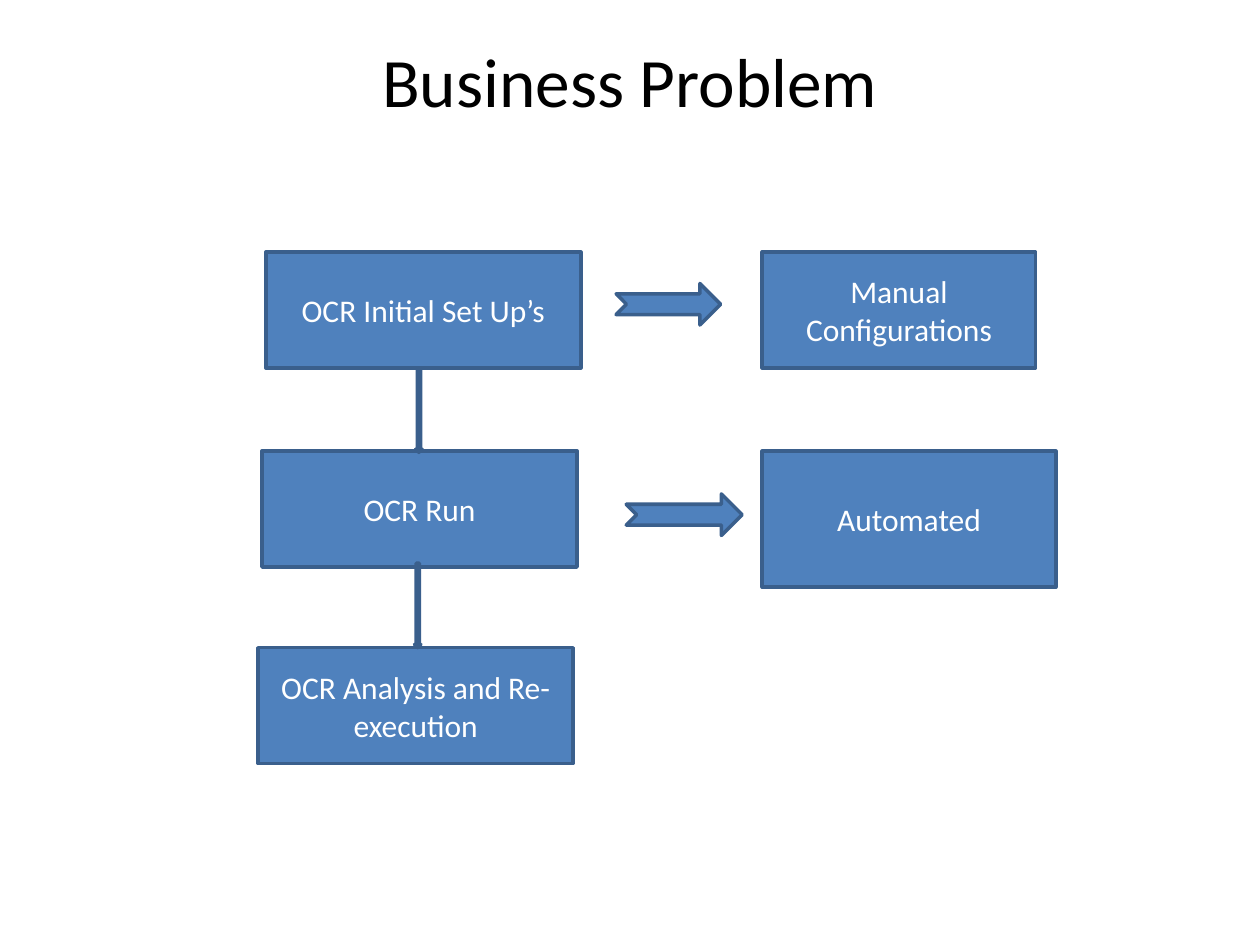
from pptx import Presentation
from pptx.dml.color import RGBColor
from pptx.enum.shapes import MSO_SHAPE
from pptx.enum.text import MSO_ANCHOR, PP_ALIGN
from pptx.util import Inches, Pt

RECTANGLE = MSO_SHAPE.RECTANGLE
DOWN_ARROW = MSO_SHAPE.DOWN_ARROW
NOTCHED_ARROW = MSO_SHAPE.NOTCHED_RIGHT_ARROW
TOP, MIDDLE = MSO_ANCHOR.TOP, MSO_ANCHOR.MIDDLE
CENTER = PP_ALIGN.CENTER

COLORS = {"fill": "4F81BD", "line": "3A5F8C", "title": "000000", "label": "FFFFFF"}
TITLE_ONLY = 5


class FlowSlide:
    """Holds the style and the current slide."""

    font_name = "Calibri"
    title_size = Pt(39.6)
    label_size = Pt(18)
    line_width = Pt(2)

    def __init__(self, deck):
        self.slide = deck.slides.add_slide(deck.slide_layouts[TITLE_ONLY])

    def color(self, name):
        return RGBColor.from_string(COLORS[name])

    def set_text(self, frame, text, size, color, anchor):
        frame.word_wrap = True
        frame.vertical_anchor = anchor
        para = frame.paragraphs[0]
        para.text = text
        para.alignment = CENTER
        para.font.name = self.font_name
        para.font.size = size
        para.font.color.rgb = self.color(color)

    def title(self, text, left, top, width, height):
        title = self.slide.shapes.title
        title.left, title.top = Inches(left), Inches(top)
        title.width, title.height = Inches(width), Inches(height)
        title.text_frame.margin_top = 0
        self.set_text(title.text_frame, text, self.title_size, "title", TOP)

    def shape(self, kind, left, top, width, height):
        shape = self.slide.shapes.add_shape(
            kind, Inches(left), Inches(top), Inches(width), Inches(height))
        shape.shadow.inherit = False
        shape.fill.solid()
        shape.fill.fore_color.rgb = self.color("fill")
        shape.line.color.rgb = self.color("line")
        shape.line.width = self.line_width
        return shape

    def box(self, text, left, top, width, height):
        box = self.shape(RECTANGLE, left, top, width, height)
        self.set_text(box.text_frame, text, self.label_size, "label", MIDDLE)

    def down_arrow(self, left, top):
        self.shape(DOWN_ARROW, left, top, 0.05, 0.67)

    def side_arrow(self, left, top, width):
        self.shape(NOTCHED_ARROW, left, top, width, 0.33)


def main():
    deck = Presentation()
    deck.slide_width, deck.slide_height = Inches(10), Inches(7.5)
    page = FlowSlide(deck)
    page.title("Business Problem", 0.5, 0.3, 9, 1.25)

    # Process steps
    steps = [
        ("OCR Initial Set Up’s", 2.11, 2),
        ("OCR Run", 2.08, 3.58),
        ("OCR Analysis and Re-execution", 2.05, 5.14),
    ]
    for text, left, top in steps:
        page.box(text, left, top, 2.5, 0.92)

    # Arrows between the steps
    page.down_arrow(3.3, 2.92)
    page.down_arrow(3.29, 4.47)

    # How each step is carried out
    page.side_arrow(4.89, 2.25, 0.83)
    page.box("Manual Configurations", 6.05, 2, 2.17, 0.92)
    page.side_arrow(4.97, 3.92, 0.92)
    page.box("Automated", 6.05, 3.58, 2.33, 1.08)

    deck.save("out.pptx")


if __name__ == "__main__":
    main()
